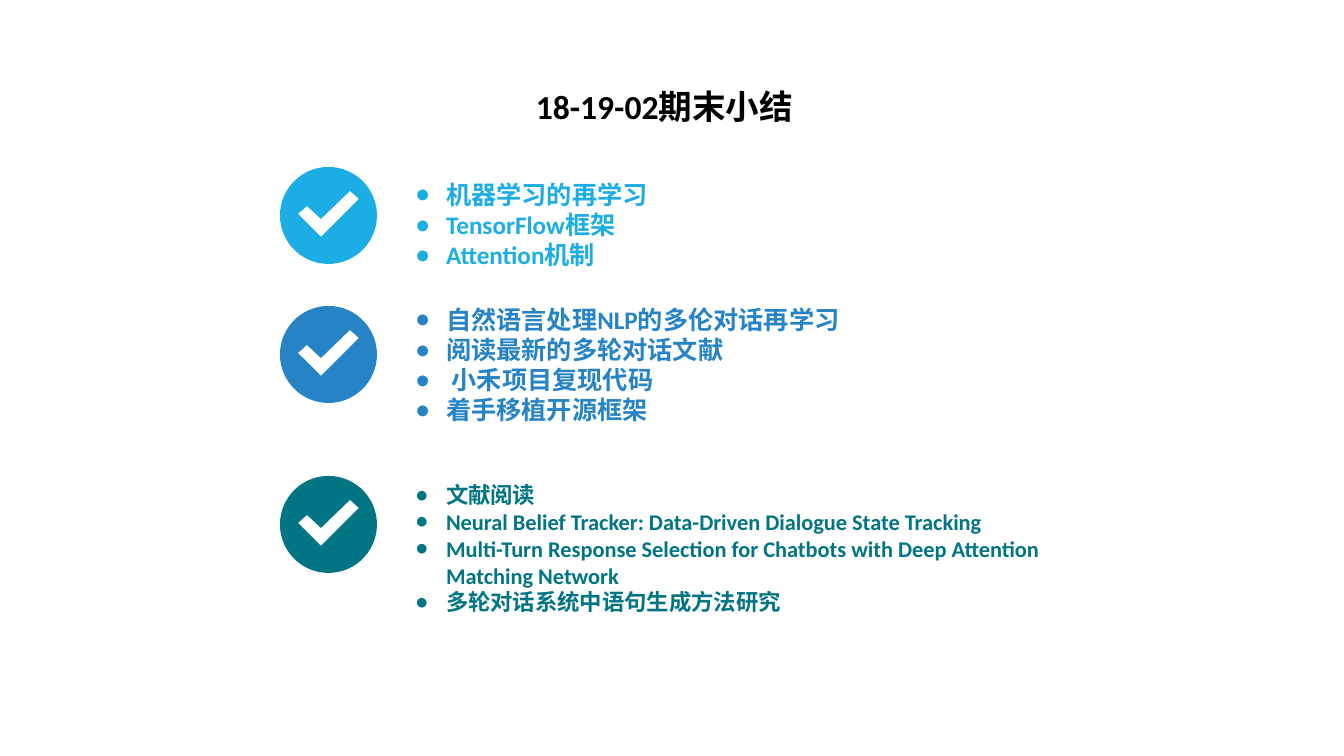
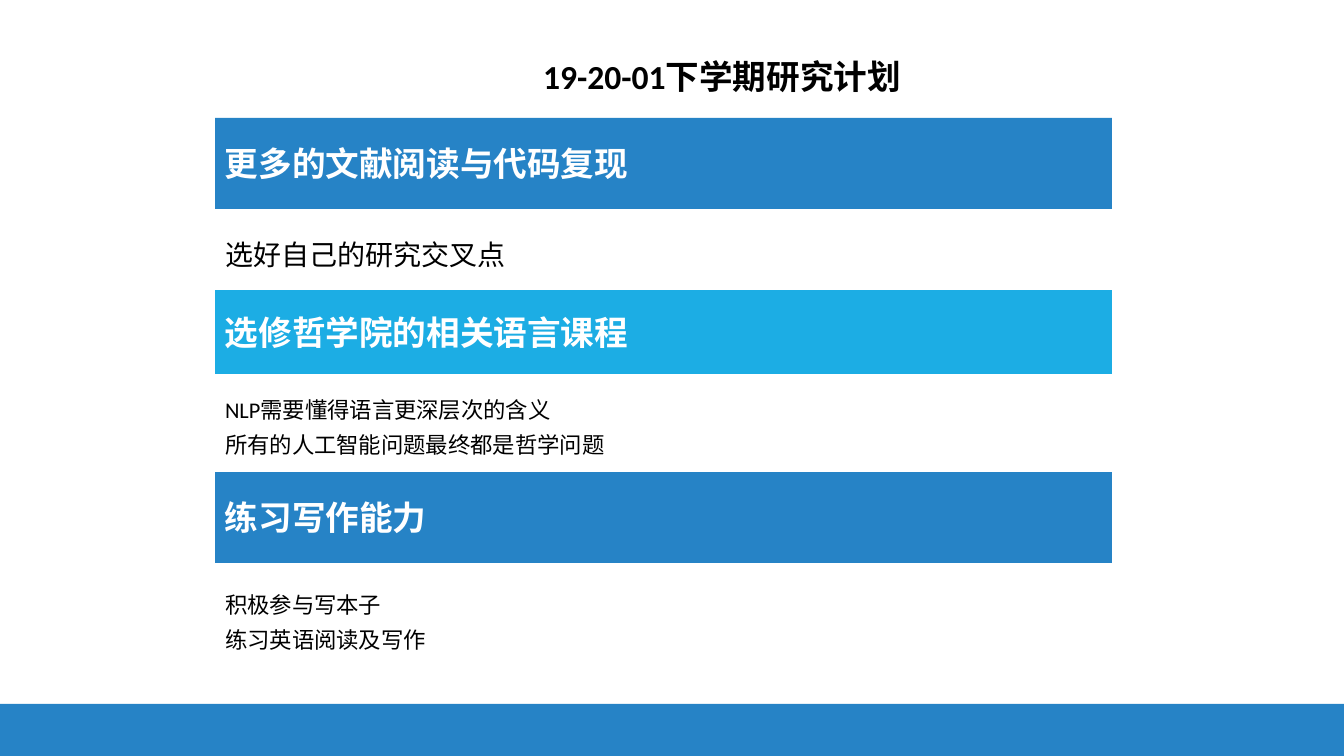
import math

from lxml import etree
from pptx import Presentation
from pptx.dml.color import RGBColor
from pptx.enum.shapes import MSO_SHAPE
from pptx.enum.text import MSO_ANCHOR, MSO_AUTO_SIZE, PP_ALIGN
from pptx.oxml.ns import qn
from pptx.util import Pt

PX = 914400 / 100.8  # EMU per pixel
WIDTH, HEIGHT = 1344, 756
RECTANGLE = MSO_SHAPE.RECTANGLE
TOP, MIDDLE = MSO_ANCHOR.TOP, MSO_ANCHOR.MIDDLE
LEFT, CENTER = PP_ALIGN.LEFT, PP_ALIGN.CENTER
NO_FIT = MSO_AUTO_SIZE.NONE
COMPARISON_LAYOUT = 4

FONT = "Calibri"
COLORS = {
    "sky": "1CADE4",
    "blue": "2683C6",
    "teal": "027584",
    "black": "000000",
    "white": "FFFFFF",
}
TICK = [(41, 70), (18, 47), (27, 39), (41, 52), (70, 24), (79, 32)]
DISC_SIZE = 97
HANGING = 31

SUMMARY = [
    # disc top, list top, list height, colour, size, items
    (167, 174, 110, "sky", 18,
     ["机器学习的再学习", "TensorFlow框架", "Attention机制"]),
    (306, 299, 150, "blue", 18,
     ["自然语言处理NLP的多伦对话再学习", "阅读最新的多轮对话文献",
      " 小禾项目复现代码", "着手移植开源框架"]),
    (476, 476, 150, "teal", 16,
     ["文献阅读",
      "Neural Belief Tracker: Data-Driven Dialogue State Tracking",
      "Multi-Turn Response Selection for Chatbots with Deep Attention"
      "\vMatching Network",
      "多轮对话系统中语句生成方法研究"]),
]
PLAN = [
    # bar top, bar height, bar colour, heading, note top, note size, notes
    (118, 91, "blue", "更多的文献阅读与代码复现", 222, 20,
     ["选好自己的研究交叉点"]),
    (290, 84, "sky", "选修哲学院的相关语言课程", 383, 16,
     ["NLP需要懂得语言更深层次的含义", "所有的人工智能问题最终都是哲学问题"]),
    (472, 91, "blue", "练习写作能力", 578, 16,
     ["积极参与写本子", "练习英语阅读及写作"]),
]


def emu(length):
    return round(length * PX)


def color(name):
    return RGBColor.from_string(COLORS[name])


class Deck:
    """Holds the shared style and the page being drawn."""

    def __init__(self):
        self.deck = Presentation()
        self.deck.slide_width, self.deck.slide_height = emu(WIDTH), emu(HEIGHT)
        self.page = None
        self.bodies = []

    def new_page(self, title, left, top, width):
        layout = self.deck.slide_layouts[COMPARISON_LAYOUT]
        self.page = self.deck.slides.add_slide(layout)
        heading, *self.bodies = self.page.placeholders
        self.place(heading, left, top, width, 46)
        self.set_text(heading, [title], 24, "black", bold=True, anchor=MIDDLE,
                      align=CENTER, spacing=0.9)

    def place(self, box, left, top, width, height):
        places = {"left": left, "top": top, "width": width, "height": height}
        for name, length in places.items():
            setattr(box, name, emu(length))

    def set_text(self, box, lines, size, ink, bold=False, anchor=TOP,
                 align=LEFT, spacing=1.0, bullet=None):
        frame = box.text_frame
        frame_format = {"word_wrap": True, "auto_size": NO_FIT,
                        "vertical_anchor": anchor}
        para_format = {"alignment": align, "line_spacing": spacing,
                       "space_before": Pt(0), "space_after": Pt(0)}
        font_format = {"name": FONT, "size": Pt(size), "bold": bold}
        for name, value in frame_format.items():
            setattr(frame, name, value)
        for number, line in enumerate(lines):
            para = frame.add_paragraph() if number else frame.paragraphs[0]
            para.text = line
            for name, value in para_format.items():
                setattr(para, name, value)
            self.set_bullet(para, bullet)
            for span in para.runs:
                for name, value in font_format.items():
                    setattr(span.font, name, value)
                span.font.color.rgb = color(ink)

    def set_bullet(self, para, bullet):
        properties = para._p.get_or_add_pPr()
        indent = emu(HANGING) if bullet else 0
        properties.set("marL", str(indent))
        properties.set("indent", str(-indent))
        if bullet:
            etree.SubElement(properties, qn("a:buChar")).set("char", bullet)
        else:
            etree.SubElement(properties, qn("a:buNone"))

    def body(self, left, top, width, height, lines, size, ink, **style):
        """Fill the next free body placeholder of the page."""
        box = self.bodies.pop(0)
        self.place(box, left, top, width, height)
        self.set_text(box, lines, size, ink, **style)

    def paint(self, shape, fill):
        shape.shadow.inherit = False
        shape.fill.solid()
        shape.fill.fore_color.rgb = color(fill)
        shape.line.fill.background()

    def bar(self, left, top, width, height, fill, heading=None):
        box = self.page.shapes.add_shape(
            RECTANGLE, *map(emu, (left, top, width, height)))
        self.paint(box, fill)
        if heading:
            self.set_text(box, [heading], 24, "white", bold=True,
                          anchor=MIDDLE)

    def tick_disc(self, left, top, fill):
        """Draw a disc with a tick cut out of it."""
        radius = DISC_SIZE / 2
        angles = [math.radians(degrees) for degrees in range(0, 360, 6)]
        rim = [(radius + radius * math.cos(angle),
                radius + radius * math.sin(angle)) for angle in angles]
        outline, tick = ([(emu(left + x), emu(top + y)) for x, y in points]
                         for points in (rim, TICK))
        builder = self.page.shapes.build_freeform(*outline[0])
        builder.add_line_segments(outline[1:])
        builder.move_to(*tick[0])
        builder.add_line_segments(tick[1:])
        self.paint(builder.convert_to_shape(), fill)

    def finish_page(self):
        """Remove the placeholders left empty."""
        for box in self.bodies:
            box._element.getparent().remove(box._element)


def add_summary(deck):
    deck.new_page("18-19-02期末小结", 520, 86, 289)
    for disc_top, list_top, height, ink, size, items in SUMMARY:
        deck.tick_disc(280, disc_top, ink)
        deck.body(405, list_top, 889, height, items, size, ink,
                  bold=True, bullet="●")
    deck.finish_page()


def add_plan(deck):
    deck.new_page("19-20-01下学期研究计划", 527, 56, 390)
    deck.bar(0, 704, WIDTH, 52, "blue")
    for top, height, fill, heading, note_top, size, notes in PLAN:
        deck.bar(215, top, 897, height, fill, heading)
        deck.body(215, note_top, 897, 81, notes, size, "black", spacing=1.3)
    deck.finish_page()


def main():
    deck = Deck()
    add_summary(deck)
    add_plan(deck)
    deck.deck.save("out.pptx")


if __name__ == "__main__":
    main()
